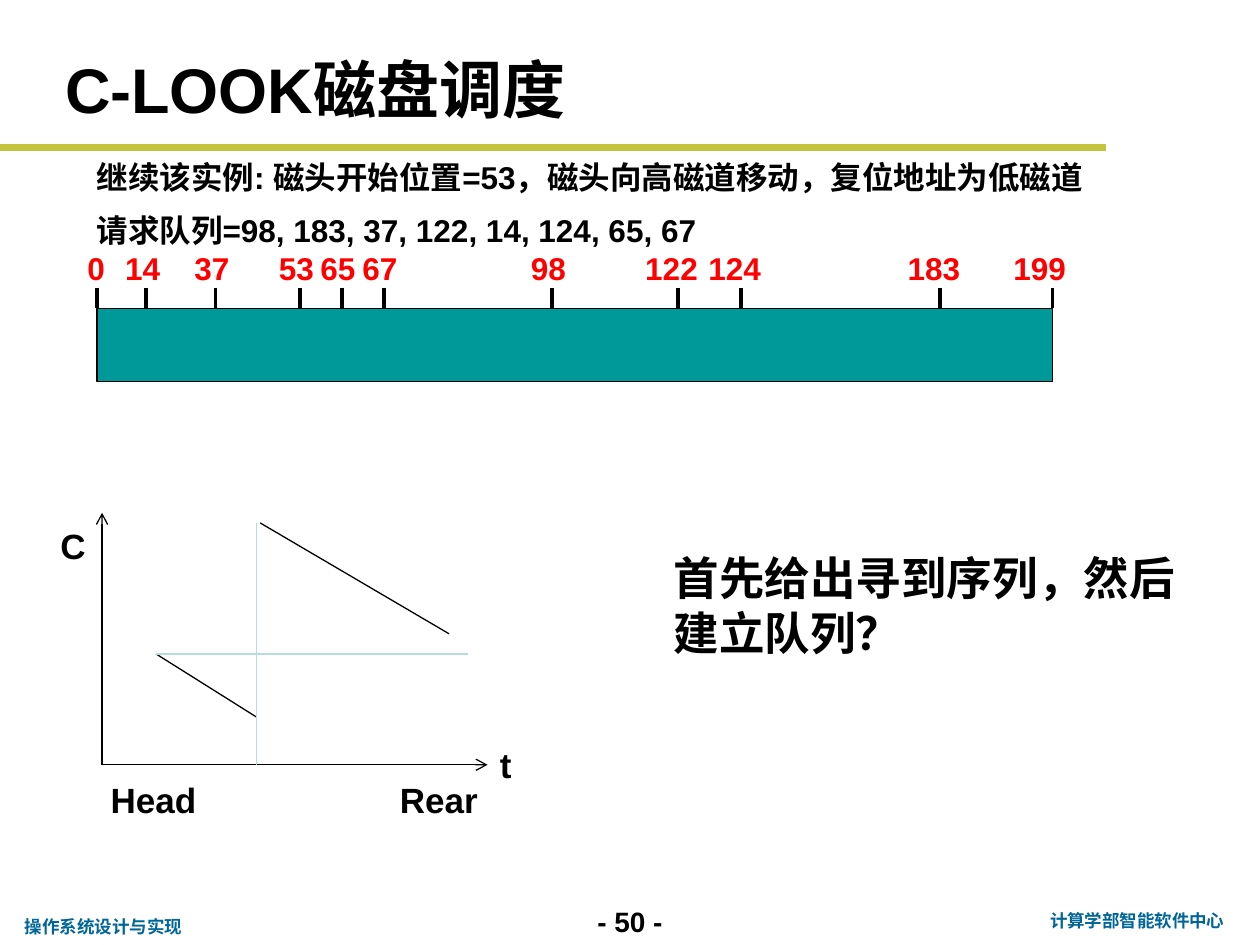
from dataclasses import dataclass
from lxml.etree import SubElement
from pptx import Presentation
from pptx.dml.color import RGBColor
from pptx.enum.shapes import MSO_CONNECTOR, MSO_SHAPE
from pptx.enum.text import MSO_ANCHOR, MSO_AUTO_SIZE, PP_ALIGN
from pptx.oxml.ns import qn
from pptx.util import Inches, Pt

COLS, ROWS = 120, 90
CELL = Inches(10) / COLS


@dataclass(frozen=True)
class Theme:
    ink: str = "000000"
    rule: str = "C1C43C"
    note: str = "006699"
    disk: str = "009999"
    mark: str = "FF0000"
    guide: str = "B6DCDF"
    font: str = "Arial"
    alt: str = "Roboto"
    title: int = 36
    ask: int = 26
    axis: int = 20
    body: int = 18
    page: int = 16
    foot: int = 10


@dataclass(frozen=True)
class Box:
    x: float
    y: float
    w: float
    h: float

    def spot(self, across, down):
        return self.x + across * self.w, self.y + down * self.h

    def emu(self):
        return [round(n * CELL) for n in (self.x, self.y, self.w, self.h)]


LOOK = Theme()


def paint(name):
    return RGBColor.from_string(name)


def write(frame, *lines, size=LOOK.body, color=LOOK.ink, font=LOOK.font,
          align=PP_ALIGN.LEFT, anchor=MSO_ANCHOR.TOP, wrap=True, pitch=1.0):
    frame.auto_size = MSO_AUTO_SIZE.NONE
    frame.word_wrap = wrap
    frame.vertical_anchor = anchor
    for i, line in enumerate(lines):
        para = frame.paragraphs[0] if i == 0 else frame.add_paragraph()
        para.alignment = align
        para.line_spacing = pitch
        para.space_before = Pt(0)
        run = para.add_run()
        run.text = line
        run.font.size = Pt(size)
        run.font.bold = True
        run.font.name = font
        run.font.color.rgb = paint(color)


def label(shapes, box, text, **style):
    write(shapes.add_textbox(*box.emu()).text_frame, text, **style)


def stroke(shapes, start, end, color=LOOK.ink, width=0.75, arrow=False):
    ends = [round(n * CELL) for n in (*start, *end)]
    link = shapes.add_connector(MSO_CONNECTOR.STRAIGHT, *ends)
    link.line.color.rgb = paint(color)
    link.line.width = Pt(width)
    if arrow:
        SubElement(link.line._ln, qn("a:tailEnd"), type="arrow")
    SubElement(link._element.spPr, qn("a:effectLst"))


def fit(holder, box):
    holder.left, holder.top, holder.width, holder.height = box.emu()
    return holder.text_frame


def header(slide, box):
    write(fit(slide.shapes.title, box), "C-LOOK磁盘调度",
          size=LOOK.title, anchor=MSO_ANCHOR.MIDDLE)
    stroke(slide.shapes, (0, box.y + 10.04), (105.36, box.y + 10.04),
           color=LOOK.rule, width=4)


def intro(slide, box):
    frame = fit(slide.placeholders[1], box)
    write(frame, "继续该实例: 磁头开始位置=53，磁头向高磁道移动，复位地址为低磁道",
          "请求队列=98, 183, 37, 122, 14, 124, 65, 67", pitch=1.4)
    for para in frame.paragraphs:
        props = para._p.get_or_add_pPr()
        props.set("marL", str(Inches(0.5)))
        props.set("indent", "0")
        SubElement(props, qn("a:buNone"))


def strip(slide, box):
    shapes = slide.shapes.add_group_shape().shapes
    edge = 0.47
    left, top = box.spot(0, edge)
    disk = shapes.add_shape(
        MSO_SHAPE.RECTANGLE, *Box(left, top, box.w, box.h * (1 - edge)).emu())
    disk.shadow.inherit = False
    disk.fill.solid()
    disk.fill.fore_color.rgb = paint(LOOK.disk)
    disk.line.color.rgb = paint(LOOK.ink)
    disk.line.width = Pt(0.75)
    tracks = {0: 0, 14: 0.05, 37: 0.12, 53: 0.21, 65: 0.26, 67: 0.3,
              98: 0.48, 122: 0.61, 124: 0.67, 183: 0.88, 199: 1}
    exact = {14: 0.0515, 37: 0.124, 53: 0.2124, 65: 0.256, 98: 0.4763,
             122: 0.608, 124: 0.674, 183: 0.8826}
    for track, share in (tracks | exact).items():
        x, y = box.spot(share, 0)
        stroke(shapes, box.spot(share, 0.32), (x, top), width=2.25)
        lead = 1 + 1.1 * len(str(track)) + (0.6 if share == 1 else 0)
        label(shapes, Box(x - lead, y, 9, 4.8), str(track), color=LOOK.mark)


def graph(slide, box):
    shapes = slide.shapes.add_group_shape().shapes
    spot = box.spot
    for start, end in (((0.14, 0.56), (0.4, 0.81)),
                       ((0.41, 0.04), (0.9, 0.48))):
        stroke(shapes, spot(*start), spot(*end))
    for end in ((1, 1), (0, 0)):
        stroke(shapes, spot(0, 1), spot(*end), arrow=True)
    for start, end in (((0.4, 0.04), (0.4, 1)),
                       ((0.14, 0.56), (0.95, 0.56))):
        stroke(shapes, spot(*start), spot(*end), color=LOOK.guide)
    for text, across, down, wide in (("t", 1, 0.89, 3.6),
                                     ("C", -0.14, 0.02, 4.8),
                                     ("Head", -0.01, 1.03, 10.7),
                                     ("Rear", 0.74, 1.03, 10)):
        label(shapes, Box(*spot(across, down), wide, 5.3), text,
              size=LOOK.axis, wrap=False)


def footer(slide, box):
    note = dict(size=LOOK.foot, color=LOOK.note, font=LOOK.alt)
    mid = PP_ALIGN.CENTER
    label(slide.shapes, Box(*box.spot(0.45, 0), 12, 4.4), "- 50 -",
          size=LOOK.page, align=mid)
    label(slide.shapes, Box(*box.spot(0.82, 0.11), 19.8, 3.2),
          "计算学部智能软件中心", align=mid, **note)
    label(slide.shapes, Box(*box.spot(0.01, 0.25), 17.5, 3.2),
          "操作系统设计与实现", wrap=False, **note)


def main():
    deck = Presentation()
    deck.slide_width = round(COLS * CELL)
    deck.slide_height = round(ROWS * CELL)
    slide = deck.slides.add_slide(deck.slide_layouts[1])
    header(slide, Box(5, 4, 103, 8.9))
    intro(slide, Box(2, 13, 107, 16.4))
    strip(slide, Box(9.24, 23.16, 91, 13.2))
    graph(slide, Box(9.72, 48.84, 36.72, 24))
    label(slide.shapes, Box(63, 51.84, 51, 11.8),
          "首先给出寻到序列，然后建立队列？", size=LOOK.ask)
    footer(slide, Box(0, 85.56, COLS, 4.4))
    deck.save("out.pptx")


if __name__ == "__main__":
    main()
